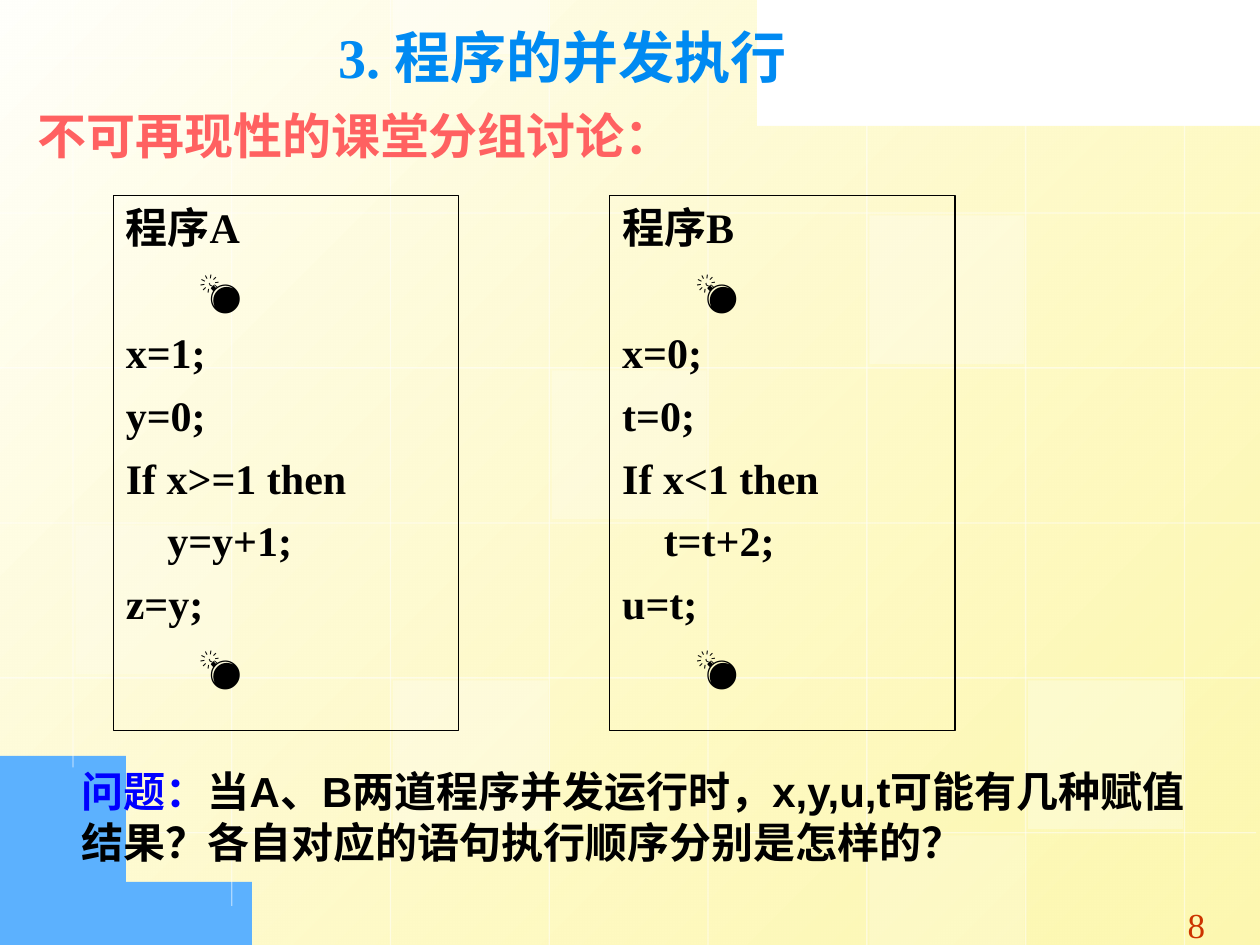
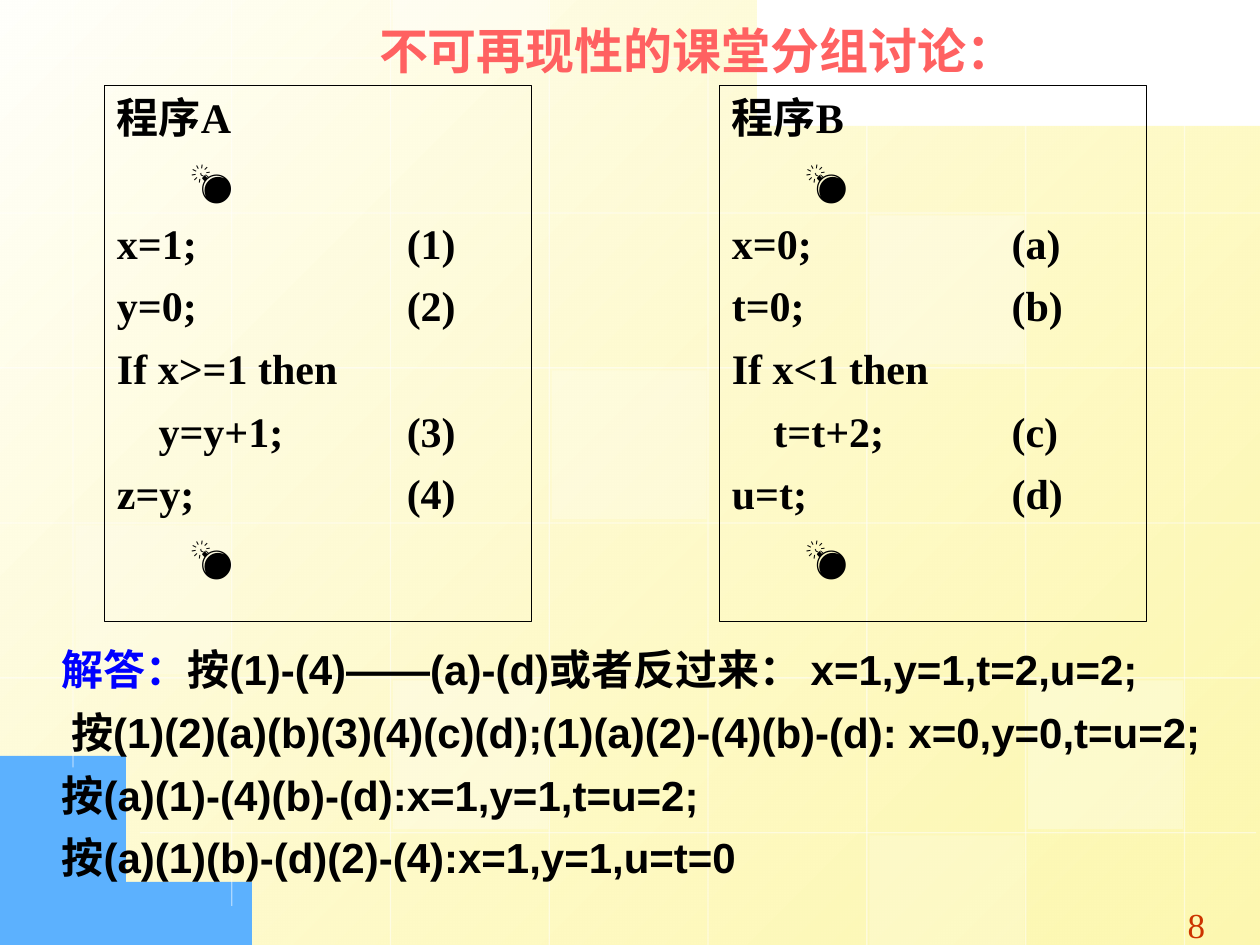
from lxml import etree
from pptx import Presentation
from pptx import util as u
from pptx.dml.color import RGBColor
from pptx.enum import shapes, text
from pptx.oxml import ns

WIDTH, HEIGHT = 10, 7.5
WHITE, BLACK, BLUE = "FFFFFF", "000000", "0000FF"
HEADING_RED, TITLE_BLUE, PAGE_RED = "FF6161", "008AF2", "CC3300"
SERIF, SANS = "Times New Roman", "Arial"
HEADING = "不可再现性的课堂分组讨论："
BOMB = "💣"

# Background grid: first line and pitch, in inches
GRID_LEFT, COLUMN = 0.58, 1.26
GRID_TOP, ROW = 0.46, 1.23
COLUMN_ENDS = [(0, 6.09), (0, 7.19), (0, 7.5), (0, 7.5),
               (0.43, 7.5), (0.68, 7.5), (0.85, 7.5), (0.98, 7.5)]
ROW_ENDS = [(0, 5.68)] + [(0, 10)] * 4 + [(1.11, 9.97)]
# Pale tiles: column, row, opacity in percent
TILES = [(3, 2, 25), (6, 4, 30), (0, 3, 20), (5, 5, 20),
         (2, -1, 40), (2, 4, 30), (5, 1, 30)]

# Each program: name, statements with their step label (tab = indented)
PROGRAMS = [
    ("程序A", [("x=1;", "(1)"), ("y=0;", "(2)"), ("If x>=1 then", ""),
              ("\ty=y+1;", "(3)"), ("z=y;", "(4)")]),
    ("程序B", [("x=0;", "(a)"), ("t=0;", "(b)"), ("If x<1 then", ""),
              ("\tt=t+2;", "(c)"), ("u=t;", "(d)")]),
]
STATEMENT_INDENT, BOMB_INDENT = 0.33, 0.58
LABEL_STOPS = (2.3, 2.22)


def rgb(hex_colour):
    return RGBColor.from_string(hex_colour)


def area(left, top, width, height):
    """Turn percentages of the slide into a box."""
    return [u.Inches(share * side / 100) for share, side in
            ((left, WIDTH), (top, HEIGHT), (width, WIDTH), (height, HEIGHT))]


def set_opacity(element, hex_colour, percent):
    for colour in element.iter(ns.qn("a:srgbClr")):
        if colour.get("val") == hex_colour:
            etree.SubElement(colour, ns.qn("a:alpha"), val=str(percent * 1000))


# Text

def add_paragraph(frame, runs, size, before, font, bold=True, align=None, stops=()):
    """Runs are (text, colour) or (text, colour, font)."""
    first = frame.paragraphs[0]
    paragraph = frame.add_paragraph() if first.runs else first
    paragraph.alignment = align or text.PP_ALIGN.LEFT
    paragraph.space_before = u.Pt(before)
    if stops:
        tab_list = etree.SubElement(paragraph._p.get_or_add_pPr(), ns.qn("a:tabLst"))
        for stop in stops:
            etree.SubElement(tab_list, ns.qn("a:tab"),
                             pos=str(u.Inches(stop)), algn="l")
    for words, colour, *own_font in runs:
        run = paragraph.add_run()
        run.text = words
        run.font.size, run.font.bold = u.Pt(size), bold
        run.font.name = own_font[0] if own_font else font
        run.font.color.rgb = rgb(colour)


def add_text(slide, box, paragraphs, size, before, font, **style):
    frame = slide.shapes.add_textbox(*area(*box)).text_frame
    frame.word_wrap = True
    frame.auto_size = text.MSO_AUTO_SIZE.SHAPE_TO_FIT_TEXT
    for runs in paragraphs:
        add_paragraph(frame, runs, size, before, font, **style)


def add_heading(slide, box):
    add_text(slide, box, [[(HEADING, HEADING_RED)]], 28, 10.5, SERIF)


# Background

def curve(start, control1, control2, end, steps=30):
    """Points along a cubic curve, without its start."""
    points = []
    for step in range(1, steps + 1):
        t = step / steps
        weights = ((1 - t) ** 3, 3 * t * (1 - t) ** 2, 3 * t * t * (1 - t), t ** 3)
        points.append(tuple(
            sum(w * p[axis] for w, p in zip(weights, (start, control1, control2, end)))
            for axis in (0, 1)))
    return points


def add_outline(slide, points):
    builder = slide.shapes.build_freeform(*points[0], scale=u.Inches(1))
    builder.add_line_segments(points[1:], close=True)
    outline = builder.convert_to_shape()
    outline.shadow.inherit = False
    outline.line.fill.background()
    return outline


def add_grid_line(slide, x1, y1, x2, y2):
    line = slide.shapes.add_connector(
        shapes.MSO_CONNECTOR.STRAIGHT, *(u.Inches(v) for v in (x1, y1, x2, y2)))
    line.line.width = u.Pt(0.75)
    line.line.color.rgb = rgb(WHITE)
    properties = line._element.spPr
    set_opacity(properties, WHITE, 50)
    etree.SubElement(properties, ns.qn("a:effectLst"))


def add_tile(slide, column, row, opacity):
    left = GRID_LEFT + column * COLUMN + 0.02
    top = GRID_TOP + row * ROW + 0.02
    upper, lower = max(top, 0), min(top + 1.18, HEIGHT)
    tile = slide.shapes.add_shape(
        shapes.MSO_SHAPE.RECTANGLE,
        *(u.Inches(v) for v in (left, upper, 1.23, lower - upper)))
    tile.shadow.inherit = False
    tile.line.fill.background()
    tile.fill.solid()
    tile.fill.fore_color.rgb = rgb(WHITE)
    set_opacity(tile._element.spPr, WHITE, opacity)


def add_background(slide):
    # Yellow sheet with a curved top and lower left corner
    sheet = add_outline(slide, [
        (10, 1.04), (10, 7.5), (2.3, 7.5),
        *curve((2.3, 7.5), (0.86, 6.61), (0, 5.39), (0, 5.39)),
        (0, 0), (4.21, 0),
        *curve((4.21, 0), (4.21, 0), (5.37, 0.69), (10, 1.04))])
    sheet.fill.gradient()
    sheet.fill.gradient_angle = 315
    for stop, position, colour in zip(sheet.fill.gradient_stops, (0, 1),
                                      ("FFFFFB", "FDF58D")):
        stop.position = position
        stop.color.rgb = rgb(colour)
    set_opacity(sheet._element.spPr, "FDF58D", 70)
    # Blue corner
    corner = add_outline(slide, [
        (0.01, 5.59), (0.01, 7.5), (2.03, 7.5),
        *curve((2.03, 7.5), (2.03, 7.5), (1.12, 7.09), (0.01, 5.59))])
    corner.fill.solid()
    corner.fill.fore_color.rgb = rgb("5CB1FE")
    # Grid and tiles
    for column, (top, bottom) in enumerate(COLUMN_ENDS):
        x = GRID_LEFT + column * COLUMN
        add_grid_line(slide, x, top, x, bottom)
    for row, (left, right) in enumerate(ROW_ENDS):
        y = GRID_TOP + row * ROW
        add_grid_line(slide, right, y, left, y)
    for tile in TILES:
        add_tile(slide, *tile)


def start_slide(deck):
    slide = deck.slides.add_slide(deck.slide_layouts[6])
    add_background(slide)
    add_text(slide, (92.9, 94.93, 4.1, 5.87), [[("8", PAGE_RED)]], 20, 12.5,
             SERIF, bold=False, align=text.PP_ALIGN.CENTER)
    return slide


# Program listings

def add_program(slide, box, program, label_stop=None):
    """Draw one listing; step labels show when they have a tab stop."""
    name, statements = program
    panel = slide.shapes.add_shape(shapes.MSO_SHAPE.RECTANGLE, *area(*box))
    panel.shadow.inherit = False
    panel.fill.background()
    panel.line.color.rgb = rgb(BLACK)
    panel.line.width = u.Pt(0.75)
    frame = panel.text_frame
    frame.word_wrap = True
    frame.vertical_anchor = text.MSO_ANCHOR.TOP

    def add_line(words, font=SERIF, stops=()):
        add_paragraph(frame, [(words, BLACK, font)], 24, 7, SERIF, stops=stops)

    add_line(name)
    add_line("\t" + BOMB, SANS, [BOMB_INDENT])
    for statement, label in statements:
        stops = [STATEMENT_INDENT] if statement.startswith("\t") else []
        if label and label_stop:
            statement += "\t" + label
            stops.append(label_stop)
        add_line(statement, stops=stops)
    add_line("\t" + BOMB, SANS, [BOMB_INDENT])


def add_programs(slide, left, top, width, pitch, label_stops=(None, None)):
    for index, (program, stop) in enumerate(zip(PROGRAMS, label_stops)):
        add_program(slide, (left + index * pitch, top, width, 56.67), program, stop)


def build_question(deck):
    slide = start_slide(deck)
    add_heading(slide, (2, 10.53, 79.4, 7.6))
    add_programs(slide, 9, 20.67, 27.4, 39.4)
    add_text(slide, (25.9, 1.73, 49.9, 8.53),
             [[("3. ", TITLE_BLUE), ("程序的并发执行", TITLE_BLUE)]], 32, 8, SERIF)
    add_text(slide, (5.5, 80.4, 91.1, 12), [[
        ("问题：", BLUE),
        ("当A、B两道程序并发运行时，x,y,u,t可能有几种赋值结果？"
         "各自对应的语句执行顺序分别是怎样的？", BLACK)]], 24, 6, SANS)


def build_answer(deck):
    slide = start_slide(deck)
    add_heading(slide, (29.1, 1.47, 55.9, 7.6))
    add_programs(slide, 8.3, 9.07, 33.9, 48.8, LABEL_STOPS)
    add_text(slide, (3.9, 67.47, 94.2, 26), [
        [("解答：", BLUE),
         ("按(1)-(4)——(a)-(d)或者反过来： x=1,y=1,t=2,u=2;", BLACK)],
        [(" 按(1)(2)(a)(b)(3)(4)(c)(d);(1)(a)(2)-(4)(b)-(d): x=0,y=0,t=u=2;", BLACK)],
        [("按(a)(1)-(4)(b)-(d):x=1,y=1,t=u=2;", BLACK)],
        [("按(a)(1)(b)-(d)(2)-(4):x=1,y=1,u=t=0", BLACK)]], 24, 7, SANS)


def main():
    deck = Presentation()
    deck.slide_width, deck.slide_height = u.Inches(WIDTH), u.Inches(HEIGHT)
    build_question(deck)
    build_answer(deck)
    deck.save("out.pptx")


if __name__ == "__main__":
    main()
